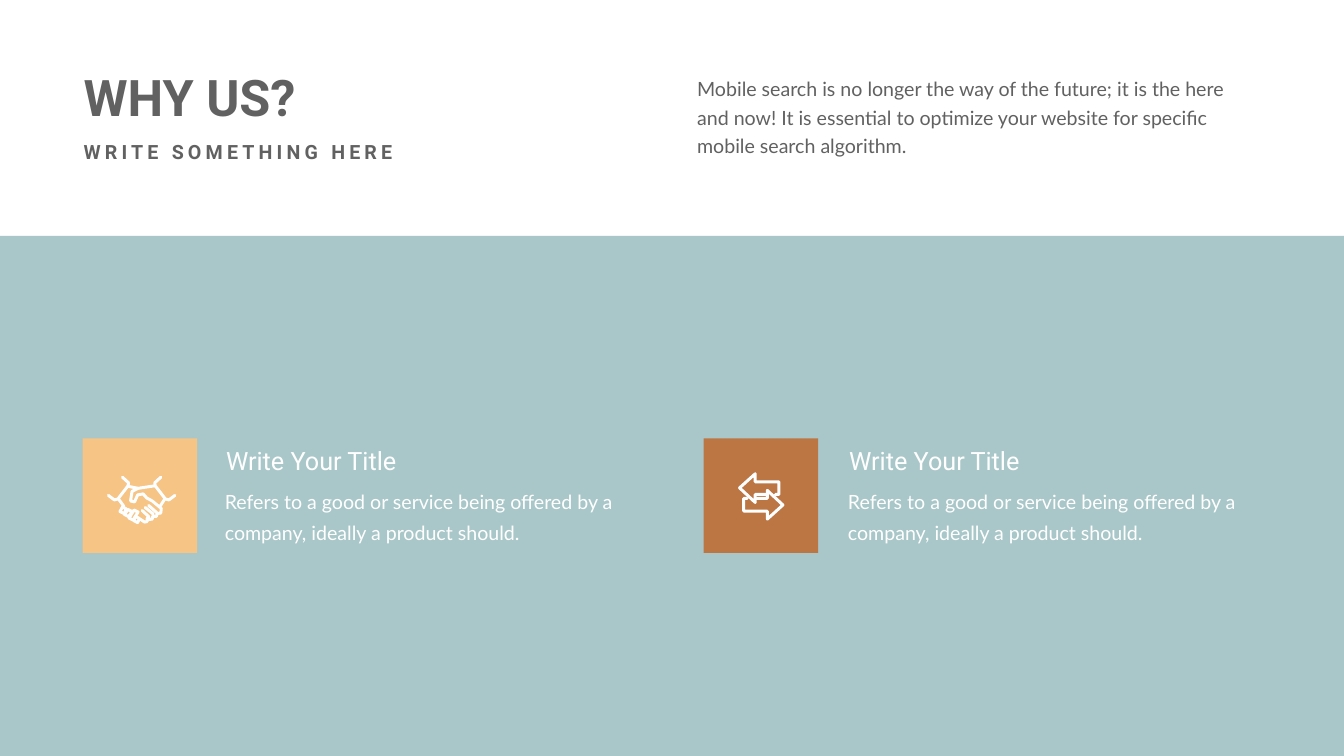
"""Build the "Why us?" slide: a heading, an introduction and two features on a coloured band."""
from dataclasses import dataclass

from pptx import Presentation
from pptx.dml.color import RGBColor
from pptx.enum.shapes import MSO_SHAPE as Preset
from pptx.enum.text import MSO_AUTO_SIZE as AutoSize
from pptx.shapes.shapetree import SlideShapes
from pptx.util import Inches, Pt

COLORS = {
    "band": "A9C7C9",
    "amber": "F6C485",
    "copper": "BB7644",
    "ink": "606160",
    "white": "FFFFFF",
}
WIDTH, HEIGHT = Inches(26.66), Inches(15)
COLUMN, ROW = WIDTH / 100, HEIGHT / 100
ICON_UNIT = WIDTH / 2666

Stroke = list[tuple[int, int]]


def finger(upper: tuple[int, int], lower: tuple[int, int]) -> Stroke:
    (right, top), (left, bottom) = upper, lower
    knuckle = (right - 4, top - 4)
    return [knuckle, (right + 4, top), (left + 4, bottom + 4), (left - 4, bottom), knuckle]


def half_turn(stroke: Stroke, width: int, height: int) -> Stroke:
    return [(width - x, height - y) for x, y in stroke]


LEFT_ARROW = [(75, 47), (82, 47), (82, 22), (35, 22), (35, 6), (4, 34), (35, 63), (35, 47),
              (59, 47)]
EXCHANGE = [LEFT_ARROW, half_turn(LEFT_ARROW, 94, 102)]

LEFT_SLEEVE = [(31, 3), (43, 14), (42, 20), (22, 46), (15, 48), (3, 39)]
RIGHT_SLEEVE = [(138 - x, y) for x, y in LEFT_SLEEVE]
THUMB = [(95, 20), (62, 25), (50, 31), (47, 50), (55, 52), (61, 38), (72, 36), (79, 44),
         (90, 50), (108, 65), (107, 74), (101, 75), (83, 59)]
KNUCKLES = [(100, 75), (98, 81), (91, 80), (90, 86), (84, 87), (80, 84), (80, 91), (75, 92),
            (66, 86)]
HANDSHAKE = [
    LEFT_SLEEVE, RIGHT_SLEEVE, THUMB, KNUCKLES,
    [(42, 21), (62, 25)],
    [(23, 46), (34, 61)],
    [(115, 46), (106, 60)],
    [(76, 63), (92, 76)],
    [(70, 69), (84, 82)],
    finger((35, 66), (30, 71)),
    finger((46, 71), (39, 77)),
    finger((58, 72), (48, 84)),
    finger((61, 85), (57, 89)),
]


@dataclass(frozen=True)
class Area:
    left: float
    top: float
    width: float
    height: float

    def emu(self) -> tuple[int, int, int, int]:
        return (round(self.left * COLUMN), round(self.top * ROW),
                round(self.width * COLUMN), round(self.height * ROW))


@dataclass(frozen=True)
class Style:
    font: str
    size: int
    color: str
    bold: bool = False
    tracking: int = 0
    leading: float = 0
    padded: bool = False


@dataclass(frozen=True)
class Feature:
    tile_left: float
    text_left: float
    tile_color: str
    icon: list[Stroke]
    icon_left: float
    icon_top: float
    title: str = "Write Your Title"
    description: str = ("Refers to a good or service being offered by a company, "
                        "ideally a product should.")


HEADLINE = Style("Roboto", 72, "ink", bold=True)
TAGLINE = Style("Roboto", 28, "ink", bold=True, tracking=6)
INTRODUCTION = Style("Lato", 28, "ink", leading=40.8)
FEATURE_TITLE = Style("Roboto", 36, "white")
FEATURE_DESCRIPTION = Style("Lato", 28, "white", leading=43, padded=True)

FEATURES = [
    Feature(6.15, 15.83, "amber", HANDSHAKE, 7.95, 62.93),
    Feature(52.36, 62.19, "copper", EXCHANGE, 54.88, 62.27),
]


def draw_block(shapes: SlideShapes, area: Area, color: str) -> None:
    block = shapes.add_shape(Preset.RECTANGLE, *area.emu())
    block.shadow.inherit = False
    block.fill.solid()
    block.fill.fore_color.rgb = RGBColor.from_string(COLORS[color])
    block.line.fill.background()


def draw_icon(shapes: SlideShapes, strokes: list[Stroke], left: float, top: float) -> None:
    builder = shapes.build_freeform(*strokes[0][0], scale=ICON_UNIT)
    for position, (start, *following) in enumerate(strokes):
        if position:
            builder.move_to(*start)
        builder.add_line_segments(following, close=False)
    icon = builder.convert_to_shape(round(left * COLUMN), round(top * ROW))
    icon.shadow.inherit = False
    icon.fill.background()
    icon.line.color.rgb = RGBColor.from_string(COLORS["white"])
    icon.line.width = Pt(4.25)
    icon.line._get_or_add_ln().set("cap", "rnd")


def write(shapes: SlideShapes, area: Area, wording: str, style: Style) -> None:
    frame = shapes.add_textbox(*area.emu()).text_frame
    frame.word_wrap = True
    frame.auto_size = AutoSize.SHAPE_TO_FIT_TEXT
    if style.padded:
        frame.margin_left = frame.margin_right = round(0.9 * COLUMN)
        frame.margin_top = frame.margin_bottom = round(0.8 * ROW)
    frame.text = wording
    paragraph = frame.paragraphs[0]
    if style.leading:
        paragraph.line_spacing = Pt(style.leading)
    run = paragraph.runs[0]
    run.font.name = style.font
    run.font.size = Pt(style.size)
    run.font.bold = style.bold
    run.font.color.rgb = RGBColor.from_string(COLORS[style.color])
    if style.tracking:
        run._r.get_or_add_rPr().set("spc", str(style.tracking * 100))


def draw_feature(shapes: SlideShapes, feature: Feature) -> None:
    draw_block(shapes, Area(feature.tile_left, 58, 8.51, 15.13), feature.tile_color)
    write(shapes, Area(feature.text_left, 63.2, 31.66, 9.27),
          feature.description, FEATURE_DESCRIPTION)
    write(shapes, Area(feature.text_left + 0.62, 58.53, 18.04, 4.73),
          feature.title, FEATURE_TITLE)
    draw_icon(shapes, feature.icon, feature.icon_left, feature.icon_top)


def main() -> None:
    deck = Presentation()
    deck.slide_width, deck.slide_height = WIDTH, HEIGHT
    shapes = deck.slides.add_slide(deck.slide_layouts[6]).shapes
    draw_block(shapes, Area(0, 31.2, 100, 68.8), "band")
    write(shapes, Area(51.5, 9.2, 42.57, 11.87),
          "Mobile search is no longer the way of the future; it is the here and now! "
          "It is essential to optimize your website for specific mobile search algorithm.",
          INTRODUCTION)
    for feature in FEATURES:
        draw_feature(shapes, feature)
    write(shapes, Area(5.85, 8.4, 17.55, 8.73), "WHY US?", HEADLINE)
    write(shapes, Area(5.85, 18.13, 24.04, 3.8), "WRITE SOMETHING HERE", TAGLINE)
    deck.save("out.pptx")


if __name__ == "__main__":
    main()
